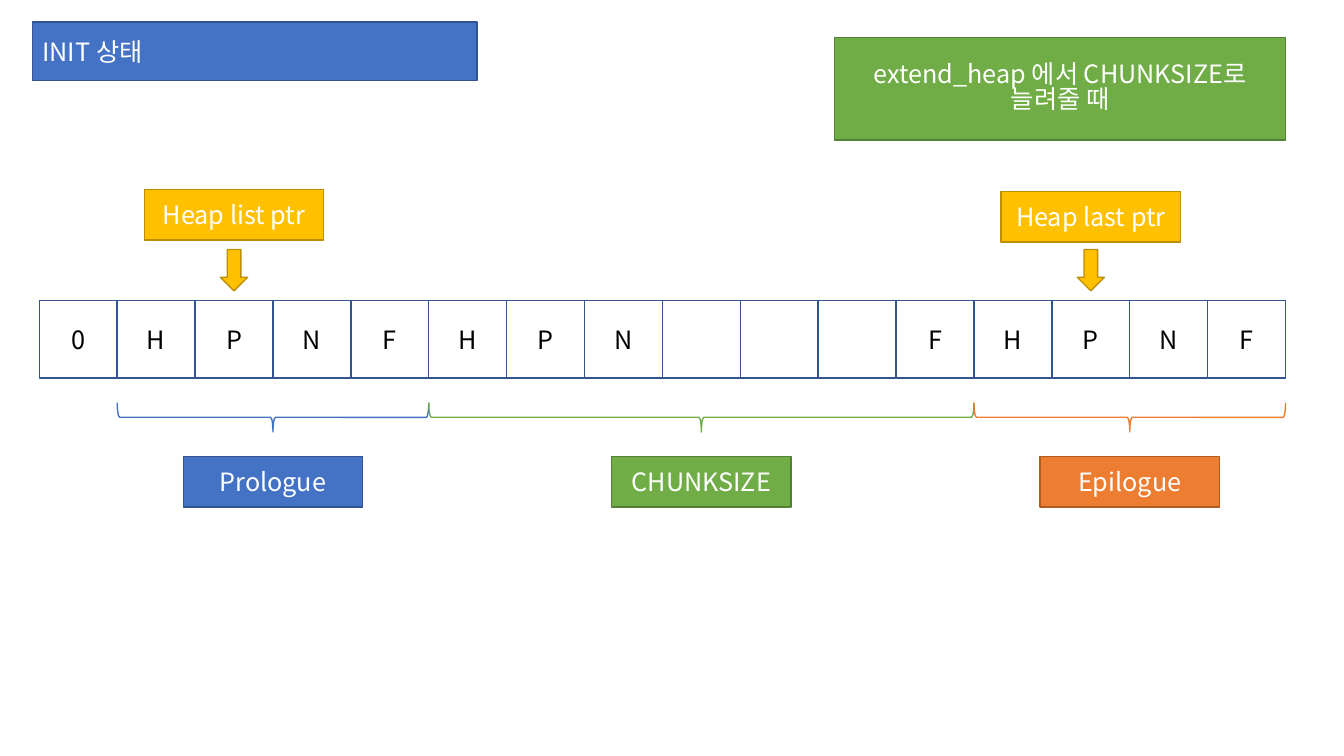
from dataclasses import dataclass

from lxml import etree
from pptx import Presentation
from pptx import util as u
from pptx.dml.color import RGBColor
from pptx.enum import shapes, text
from pptx.oxml import ns


@dataclass(frozen=True)
class Theme:
    # Each pair is fill, outline
    blue: tuple = ("4472C4", "325491")
    green: tuple = ("70AD47", "538035")
    orange: tuple = ("ED7D31", "AF5C24")
    gold: tuple = ("FFC000", "BD8E00")
    cell: tuple = ("FFFFFF", "325491")
    light: str = "FFFFFF"
    dark: str = "000000"
    font: str = "Noto Sans CJK KR"
    size: int = 18
    outline: int = 1


theme = Theme()
CENTER, LEFT = text.PP_ALIGN.CENTER, text.PP_ALIGN.LEFT
KIND = shapes.MSO_SHAPE

# Heap row: 16 equal columns between two margins
HEAP = ["0", *"HPNF", *"HPN", "", "", "", "F", *"HPNF"]
ROW_LEFT, ROW_RIGHT, ROW_TOP = 0.39, 12.75, 2.98
CELL = (ROW_RIGHT - ROW_LEFT) / len(HEAP)
LABEL_WIDTH, LABEL_HEIGHT = 1.78, 0.5
LABEL_TOP = 4.53
BRACE_MIDDLE, BRACE_DEPTH = 4.14, 0.29
ARROW_MIDDLE, ARROW_LENGTH, ARROW_BREADTH = 2.68, 0.41, 0.27


def style(shape, box, colors, label="", ink=theme.light, align=CENTER):
    """Place a shape, colour it and write its label; a fill of None stays open."""
    shape.left, shape.top, shape.width, shape.height = map(u.Inches, box)
    fill, outline = colors
    if fill:
        shape.fill.solid()
        shape.fill.fore_color.rgb = RGBColor.from_string(fill)
    else:
        shape.fill.background()
    shape.line.color.rgb = RGBColor.from_string(outline)
    shape.line.width = u.Pt(theme.outline)
    if not label:
        return
    frame = shape.text_frame
    frame.word_wrap = True
    frame.auto_size = text.MSO_AUTO_SIZE.NONE
    frame.vertical_anchor = text.MSO_ANCHOR.MIDDLE
    paragraph = frame.paragraphs[0]
    paragraph.alignment = align
    run = paragraph.add_run()
    run.text = label
    run.font.name = theme.font
    run.font.size = u.Pt(theme.size)
    run.font.color.rgb = RGBColor.from_string(ink)
    east_asian = etree.SubElement(run.font._element, ns.qn("a:ea"))
    east_asian.set("typeface", theme.font)


def add(parent, kind, box, colors, label="", ink=theme.light, turn=0):
    shape = parent.shapes.add_shape(kind, *map(u.Inches, box))
    shape.shadow.inherit = False
    shape.rotation = turn
    style(shape, box, colors, label, ink)
    return shape


presentation = Presentation()
presentation.slide_width, presentation.slide_height = u.Inches(13.33), u.Inches(7.5)
slide = presentation.slides.add_slide(presentation.slide_layouts[5])

style(slide.shapes.title, (0.32, 0.22, 4.41, 0.58), theme.blue, "INIT 상태", align=LEFT)
callout = add(slide, KIND.RECTANGLE, (8.28, 0.37, 4.47, 1.02), theme.green,
              "extend_heap 에서 CHUNKSIZE로 늘려줄 때")
callout.text_frame.paragraphs[0].line_spacing = 0.82

for column, letter in enumerate(HEAP):
    box = (ROW_LEFT + column * CELL, ROW_TOP, CELL, CELL)
    add(slide, KIND.RECTANGLE, box, theme.cell, letter, theme.dark)

# Sections: label, first column, column after the last, colours
for label, start, end, colors in [
    ("Prologue", 1, 5, theme.blue),
    ("CHUNKSIZE", 5, 12, theme.green),
    ("Epilogue", 12, 16, theme.orange),
]:
    center = ROW_LEFT + (start + end) / 2 * CELL
    span = (end - start) * CELL
    brace = (center - BRACE_DEPTH / 2, BRACE_MIDDLE - span / 2, BRACE_DEPTH, span)
    add(slide, KIND.RIGHT_BRACE, brace, (None, colors[0]), turn=90)
    box = (center - LABEL_WIDTH / 2, LABEL_TOP, LABEL_WIDTH, LABEL_HEIGHT)
    add(slide, KIND.RECTANGLE, box, colors, label)

# Pointers: label, column pointed at, top of the label
for label, column, top in [("Heap list ptr", 2, 1.88), ("Heap last ptr", 13, 1.9)]:
    center = ROW_LEFT + (column + 0.5) * CELL
    pointer = slide.shapes.add_group_shape()
    arrow = (center - ARROW_LENGTH / 2, ARROW_MIDDLE - ARROW_BREADTH / 2,
             ARROW_LENGTH, ARROW_BREADTH)
    add(pointer, KIND.RIGHT_ARROW, arrow, theme.gold, turn=90)
    box = (center - LABEL_WIDTH / 2, top, LABEL_WIDTH, LABEL_HEIGHT)
    add(pointer, KIND.RECTANGLE, box, theme.gold, label)

presentation.save("out.pptx")
